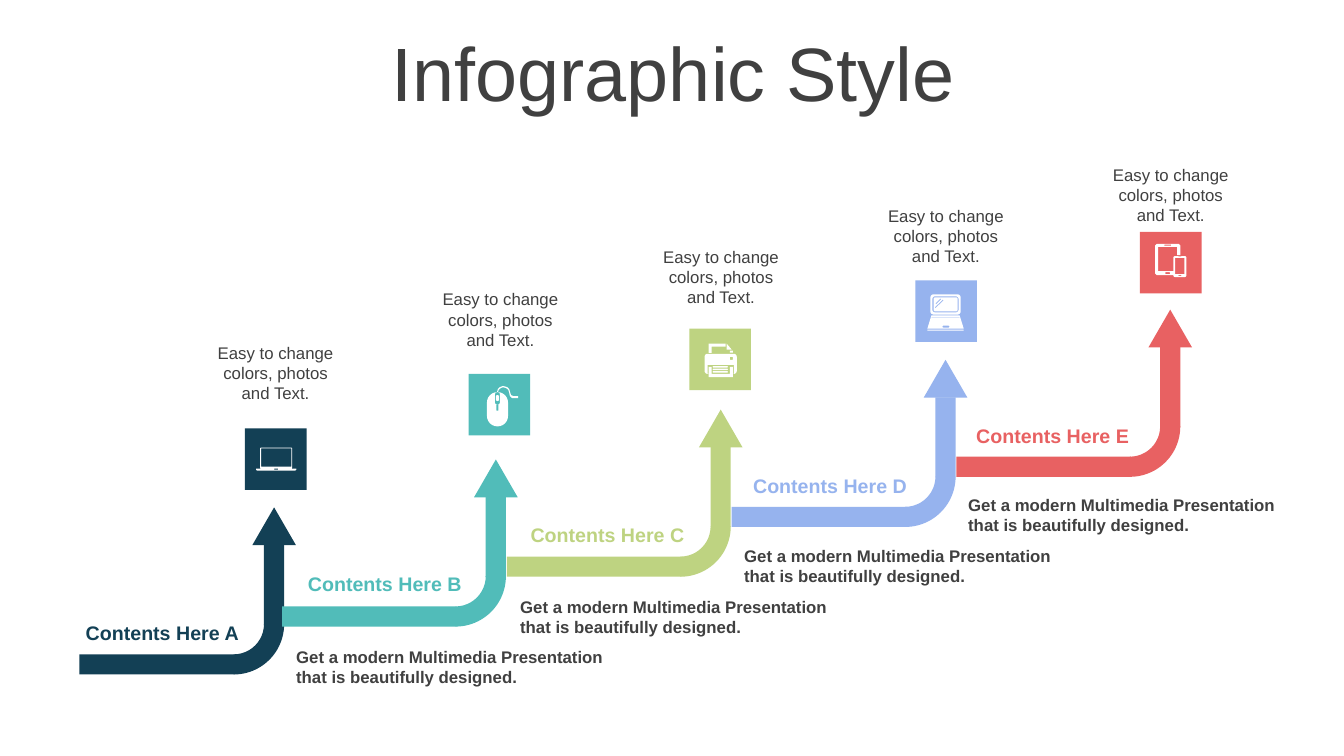
import math
import pptx
import pptx.util
import pptx.dml.color
import pptx.enum.shapes
import pptx.enum.text

Pt = pptx.util.Pt
Kind = pptx.enum.shapes.MSO_SHAPE
Align = pptx.enum.text.PP_ALIGN
GREY = "404040"


def paint(shape, tint):
    shape.shadow.inherit = False
    shape.fill.solid()
    shape.fill.fore_color.rgb = pptx.dml.color.RGBColor.from_string(tint)
    shape.line.fill.background()


def box(x, y, w, h, r=0):
    """Corner points of a rectangle, rounded by r."""
    if not r:
        return [(x, y), (x + w, y), (x + w, y + h), (x, y + h)]
    mids = [(x + w - r, y + h - r), (x + r, y + h - r), (x + r, y + r), (x + w - r, y + r)]
    return [(cx + r * math.cos(math.radians(a)), cy + r * math.sin(math.radians(a)))
            for turn, (cx, cy) in enumerate(mids)
            for a in range(90 * turn, 90 * turn + 91, 15)]


# Icons: outlines in points from the tile's corner; an inner outline cuts a hole
laptop = [
    box(10.8, 13.7, 23, 15.1, 1), box(11.5, 14.4, 21.6, 13),
    [(7.9, 28.8), (36.7, 28.8), (36.7, 29.5), (36, 30.2), (8.6, 30.2), (7.9, 29.5)],
    box(20.9, 28.8, 2.9, 0.7),
]
mouse = [
    box(13, 13, 15.1, 24.5, 7.5), box(18.7, 13, 3.6, 9, 1.8),
    box(19.4, 15.1, 2.2, 4.3, 1.1), box(19.8, 22, 1.4, 4.3),
    [(20.2, 13), (20.8, 10.8), (22.3, 9.4), (24.5, 8.6), (27.4, 9.4), (29, 11),
     (29.5, 13), (30.2, 15.1), (31.7, 15.8), (35.3, 15.8), (35.3, 17.3),
     (31, 17.3), (29.4, 15.8), (28.8, 13), (28.2, 11.3), (26.6, 10.1),
     (24.5, 9.6), (23, 10.1), (21.5, 11.3), (20.9, 13)],
]
printer = [
    box(10.8, 18, 23, 14.4, 2.2), box(13, 25.9, 18.7, 6.5), box(28.8, 20.2, 2.2, 2.2, 0.5),
    [(13.7, 27.4), (15.8, 27.4), (15.8, 32.4), (28.8, 32.4),
     (28.8, 27.4), (31, 27.4), (31, 34.6), (13.7, 34.6)],
    [(13.7, 10.8), (25.9, 10.8), (25.9, 13), (15.8, 13), (15.8, 17.3), (13.7, 17.3)],
    [(26.6, 10.8), (30.2, 15.1), (26.6, 15.1)], box(28.8, 15.8, 2.2, 1.4),
] + [box(16.6, y, 10.8, 1.1, 0.5) for y in (26.8, 28.6, 30.4)]
netbook = [
    box(10.8, 10.1, 21.6, 14.4, 2.2), box(12.2, 11.5, 18.7, 11.5, 2),
    box(13, 12.2, 17.3, 10.1, 1.4),
    [(19.8, 13.7), (20.2, 14.3), (14.4, 20), (13.9, 19.4)],
    [(18, 13), (18.5, 13.5), (14.9, 17.1), (14.4, 16.6)],
    [(11.5, 25.2), (31.7, 25.2), (34.6, 34.6), (8.6, 34.6)],
    box(11.5, 26.5, 20.2, 0.4), box(19.4, 32.4, 5, 1.4, 0.7), box(8.6, 35.2, 25.9, 0.8),
]
tablet = [
    [(10.8, 9.8), (12, 8.6), (27.6, 8.6), (28.8, 9.8), (28.8, 16.6), (26.6, 16.6),
     (26.6, 10.8), (13, 10.8), (13, 28.1), (23.8, 28.1), (23.8, 31), (12, 31), (10.8, 29.8)],
    box(17.3, 9.2, 5, 0.7, 0.3), box(18, 28.8, 3.6, 1.4, 0.7),
    box(23.8, 17.3, 9.4, 15.1, 1.4), box(25.2, 18.7, 6.5, 11.5),
    box(27.4, 17.8, 2.2, 0.4), box(27.4, 30.9, 2.2, 0.7, 0.3),
]

# Steps: letter, colour, bend corner, bar length, tile corner, caption corner, icon
steps = [
    ("A", "134055", (131, 409.8), 111, (175, 306), (147.6, 241.2), laptop),
    ("B", "51BCB9", (289.4, 375.6), 124.6, (334.8, 267.1), (308.2, 203), mouse),
    ("C", "BED381", (450, 340), 124.6, (492.5, 234.7), (465.8, 172.8), printer),
    ("D", "96B3EE", (610.6, 304.4), 124.6, (653.8, 200.2), (626.4, 143.3), netbook),
    ("E", "E86162", (771.1, 268.6), 124.6, (814.3, 165.6), (787, 113.8), tablet),
]

deck = pptx.Presentation()
deck.slide_width, deck.slide_height = Pt(960), Pt(540)
slide = deck.slides.add_slide(deck.slide_layouts[5])
shapes = slide.shapes

# Title
title = shapes.title
title.left, title.top, title.width, title.height = Pt(25.2), Pt(26.6), Pt(911.5), Pt(57)
title.text_frame.text = "Infographic Style"
title.text_frame.auto_size = pptx.enum.text.MSO_AUTO_SIZE.NONE
title.text_frame.vertical_anchor = pptx.enum.text.MSO_ANCHOR.MIDDLE
head = title.text_frame.paragraphs[0]
head.alignment = Align.CENTER
head.line_spacing = 0.9
head.font.name, head.font.size = "Arial", Pt(54)
head.font.color.rgb = pptx.dml.color.RGBColor.from_string(GREY)

for i, (letter, tint, bend, span, tile, spot, icon) in enumerate(steps):
    # Bent arrow: bar, bend, shaft and tip
    x, y = bend
    arrow = shapes.add_group_shape()
    for kind, left, top, wide, high in [
        (Kind.RECTANGLE, x + 36.7 - span, y + 57.6, span, 14.4),
        (Kind.BLOCK_ARC, x, y, 72, 72),
        (Kind.RECTANGLE, x + 57.6, y - 20.6, 14.4, 57),
        (Kind.ISOSCELES_TRIANGLE, x + 49.2, y - 47.4, 31.2, 27),
    ]:
        part = arrow.shapes.add_shape(kind, Pt(left), Pt(top), Pt(wide), Pt(high))
        paint(part, tint)
        if kind == Kind.BLOCK_ARC:
            # Clockwise from 0 to 90 degrees, a fifth of the width thick
            for n, size in enumerate((0, 54, 0.2)):
                part.adjustments[n] = size

    # Tile with its icon
    x, y = tile
    paint(shapes.add_shape(Kind.RECTANGLE, Pt(x), Pt(y), Pt(44), Pt(44)), tint)
    loops = [[(Pt(x + px), Pt(y + py)) for px, py in loop] for loop in icon]
    pen = shapes.build_freeform(*loops[0][0])
    pen.add_line_segments(loops[0][1:], close=True)
    for loop in loops[1:]:
        pen.move_to(*loop[0])
        pen.add_line_segments(loop[1:], close=True)
    paint(pen.convert_to_shape(), "FFFFFF")

    # Caption, label and note
    texts = [
        ("Easy to change colors, photos and Text.", *spot, 98.6, 51, 12, GREY, False, Align.CENTER),
        ("Contents Here " + letter, 52.6 + 159 * i, 440 - 35.1 * i, 126.7, 24.2, 14, tint,
         True, Align.CENTER),
    ]
    if letter != "E":
        texts.append(("Get a modern Multimedia Presentation that is beautifully designed.",
                      204.5 + 160 * i, 458.6 - 36.2 * i, 252, 36, 12, GREY, True, Align.LEFT))
    for words, left, top, wide, high, size, ink, bold, side in texts:
        frame = shapes.add_textbox(Pt(left), Pt(top), Pt(wide), Pt(high)).text_frame
        frame.word_wrap = True
        frame.text = words
        line = frame.paragraphs[0]
        line.alignment = side
        line.font.name, line.font.size, line.font.bold = "Arial", Pt(size), bold
        line.font.color.rgb = pptx.dml.color.RGBColor.from_string(ink)

deck.save("out.pptx")
